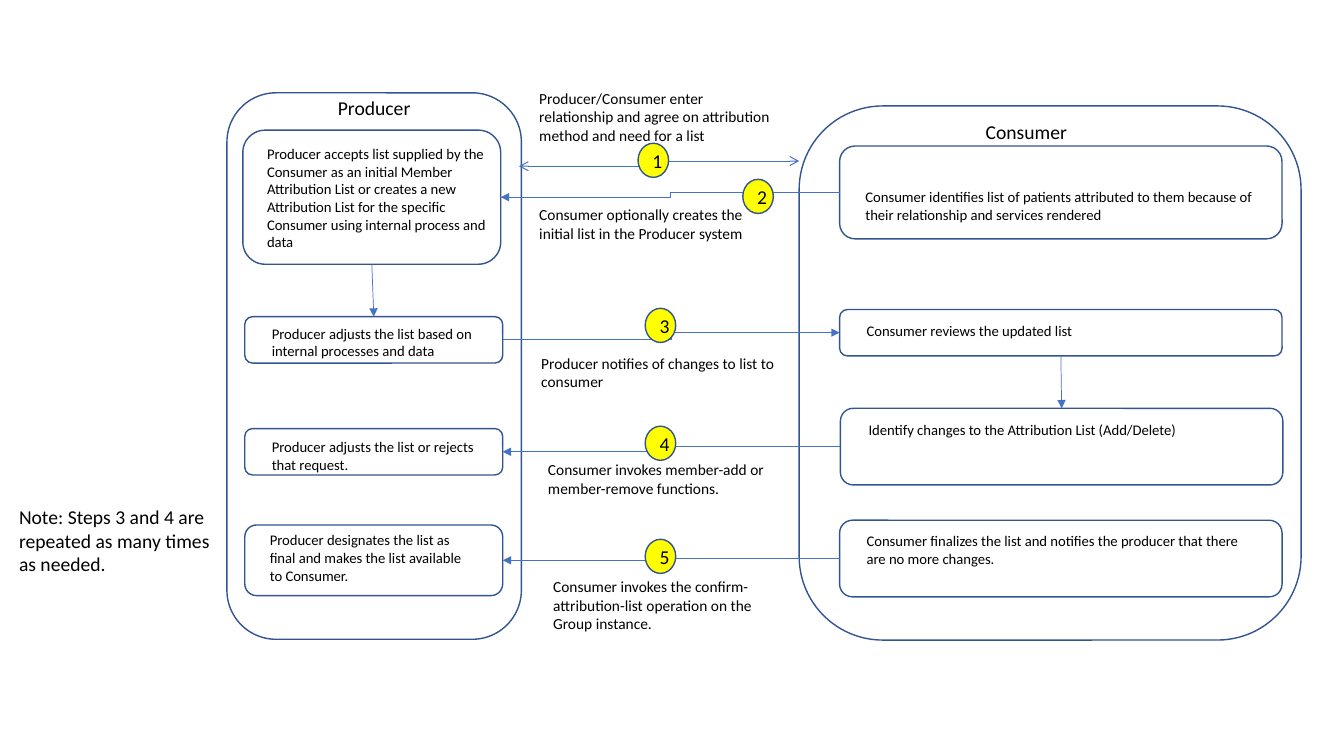
"""Build the attribution list workflow between Producer and Consumer."""
from lxml.etree import SubElement
from pptx import Presentation
from pptx.dml.color import RGBColor
from pptx.enum.shapes import MSO_CONNECTOR as LINK, MSO_SHAPE as SHAPE
from pptx.enum.text import MSO_ANCHOR as ANCHOR, MSO_AUTO_SIZE as FIT, PP_ALIGN as ALIGN
from pptx.oxml.ns import qn
from pptx.util import Cm, Pt

OUTLINE, ARROW, BADGE, INK = "325491", "4472C4", "FFFF00", "000000"
TOP, LEFT, BOTTOM, RIGHT = range(4)
BADGE_SIZE = (0.77, 0.86)
PRODUCER_WIDTH, CONSUMER_WIDTH = 6.5, 11.15

LANES = [(5.72, 2.34, 7.42, 13.77), (20.14, 2.67, 12.65, 13.46)]

STEPS = {
    "accept": ((6.12, 3.28, PRODUCER_WIDTH, 3.38), (6.48, 3.53, 6.12, 2.95),
               "Producer accepts list supplied by the Consumer as an initial Member Attribution List "
               "or creates a new Attribution List for the specific Consumer using internal process and data"),
    "adjust": ((6.17, 7.98, PRODUCER_WIDTH, 1.17), (6.6, 8.05, 5.61, 1.14),
               "Producer adjusts the list based on internal processes and data"),
    "answer": ((6.17, 10.8, PRODUCER_WIDTH, 1.17), (6.6, 10.92, 5.61, 1.14),
               "Producer adjusts the list or rejects that request."),
    "publish": ((6.17, 13.23, PRODUCER_WIDTH, 1.78), (6.55, 13.26, 5.61, 1.6),
                "Producer designates the list as final and makes the list available to Consumer."),
    "identify": ((21.16, 3.68, CONSUMER_WIDTH, 2.34), (21.56, 4.62, 10.36, 1.19),
                 "Consumer identifies list of patients attributed to them because of their "
                 "relationship and services rendered"),
    "review": ((21.16, 7.8, CONSUMER_WIDTH, 1.17), (21.59, 7.98, 10.24, 0.74),
               "Consumer reviews the updated list"),
    "change": ((21.18, 10.29, CONSUMER_WIDTH, 1.93), (21.64, 10.49, 10.24, 0.71),
               "Identify changes to the Attribution List (Add/Delete)"),
    "finalize": ((21.16, 13.11, CONSUMER_WIDTH, 1.93), (21.59, 13.28, 10.24, 1.14),
                 "Consumer finalizes the list and notifies the producer that there are no more changes."),
}

FLOWS = [
    ("identify", LEFT, "accept", RIGHT, 0.5, {"tailEnd": "triangle"}),
    ("accept", BOTTOM, "adjust", TOP, 0.5, {"tailEnd": "triangle"}),
    ("adjust", RIGHT, "review", LEFT, 0.5, {"tailEnd": "triangle"}),
    ("review", BOTTOM, "change", TOP, 0.5, {"tailEnd": "triangle"}),
    ("change", LEFT, "answer", RIGHT, 0.5, {"tailEnd": "triangle"}),
    ("publish", RIGHT, "finalize", LEFT, 0.75, {"headEnd": "triangle"}),
]
AGREEMENT = (13.08, 4.19, 20.14, 4.06)

MESSAGES = [
    ((16.08, 3.61), (13.34, 2.11, 6.32, 2.13),
     "Producer/Consumer enter relationship and agree on attribution method and need for a list"),
    ((18.72, 4.52), (13.34, 5.05, 6.32, 1.19),
     "Consumer optionally creates the initial list in the Producer system"),
    ((16.26, 7.77), (13.39, 8.79, 7.42, 1.19), "Producer notifies of changes to list to consumer"),
    ((16.26, 10.74), (13.56, 11.48, 7.42, 1.19),
     "Consumer invokes member-add or member-remove functions."),
    ((16.26, 13.59), (13.69, 14.43, 6.32, 1.68),
     "Consumer invokes the confirm-attribution-list operation on the Group instance."),
]

LABELS = [
    ((7.87, 2.29, 3.12, 0.86), "Producer", ALIGN.CENTER),
    ((24.59, 2.9, 3.48, 0.86), "Consumer", ALIGN.LEFT),
    ((0.23, 12.6, 5.44, 2.06), "Note: Steps 3 and 4 are repeated as many times as needed.", ALIGN.LEFT),
]


def color(value):
    return RGBColor.from_string(value)


def assign(target, values):
    for name, value in values.items():
        setattr(target, name, value)


def write(box, text, size, align=ALIGN.LEFT):
    para = box.text_frame.paragraphs[0]
    para.alignment = align
    span = para.add_run()
    span.text = text
    assign(span.font, {"name": "Calibri", "size": Pt(size)})
    span.font.color.rgb = color(INK)


def add_text(place, text, size, align=ALIGN.LEFT):
    box = page.shapes.add_textbox(*map(Cm, place))
    assign(box.text_frame, {"word_wrap": True, "auto_size": FIT.SHAPE_TO_FIT_TEXT})
    write(box, text, size, align)


def add_outline(kind, place, fill=None):
    shape = page.shapes.add_shape(kind, *map(Cm, place))
    shape.shadow.inherit = False
    if fill:
        shape.fill.solid()
        shape.fill.fore_color.rgb = color(fill)
    else:
        shape.fill.background()
    shape.line.color.rgb = color(OUTLINE)
    shape.line.width = Pt(1)
    return shape


def add_arrow(kind, ends, width, heads):
    arrow = page.shapes.add_connector(kind, *map(Cm, ends))
    arrow.line.color.rgb = color(ARROW)
    arrow.line.width = Pt(width)
    line = arrow.line._get_or_add_ln()
    for end, style in heads.items():
        SubElement(line, qn(f"a:{end}"), type=style)
    SubElement(arrow._element.spPr, qn("a:effectLst"))
    return arrow


deck = Presentation()
assign(deck, {"slide_width": Cm(33.87), "slide_height": Cm(19.05)})
page = deck.slides.add_slide(deck.slide_layouts[6])

for place in LANES:
    add_outline(SHAPE.ROUNDED_RECTANGLE, place)

boxes = {}
for name, (place, text_place, text) in STEPS.items():
    boxes[name] = add_outline(SHAPE.ROUNDED_RECTANGLE, place)
    add_text(text_place, text, 10.5)

add_arrow(LINK.ELBOW, AGREEMENT, 0.75, {"headEnd": "arrow", "tailEnd": "arrow"})
for source, source_side, target, target_side, width, heads in FLOWS:
    kind = LINK.STRAIGHT if source_side == BOTTOM else LINK.ELBOW
    arrow = add_arrow(kind, (0, 0, 0, 0), width, heads)
    arrow.begin_connect(boxes[source], source_side)
    arrow.end_connect(boxes[target], target_side)

for number, (corner, text_place, text) in enumerate(MESSAGES, 1):
    badge = add_outline(SHAPE.OVAL, corner + BADGE_SIZE, BADGE)
    badge.text_frame.vertical_anchor = ANCHOR.MIDDLE
    write(badge, str(number), 14, ALIGN.CENTER)
    add_text(text_place, text, 11)

for place, text, align in LABELS:
    add_text(place, text, 14, align)

deck.save("out.pptx")
